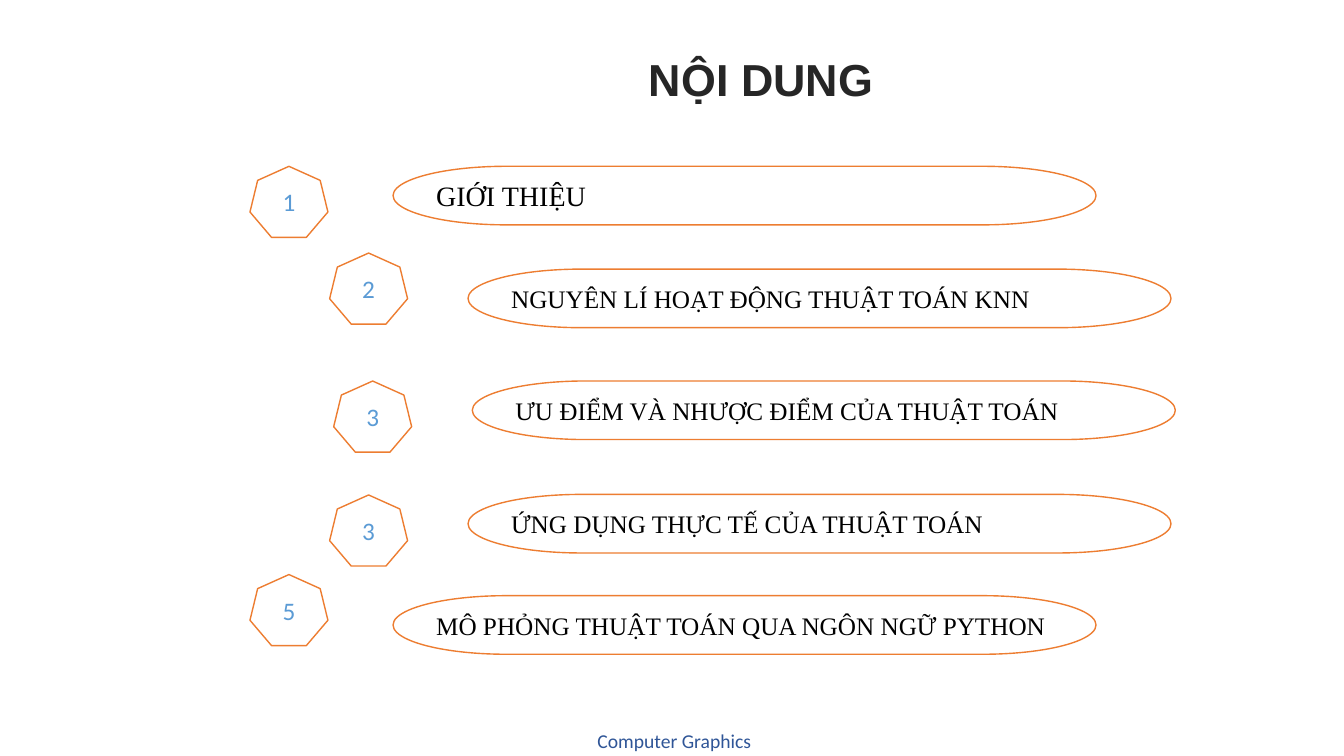
from pptx import Presentation, util as u
from pptx.dml.color import RGBColor
from pptx.enum import shapes, text

COLORS = {
    "paper": "FFFFFF", "outline": "ED7D31", "title": "262626",
    "number": "5B9BD5", "item": "000000", "footer": "2F5597",
}

# number, badge (x, y), label, label (x, y), label size; places in % of the slide
AGENDA = [
    ("1", (18.6, 22), "GIỚI THIỆU", (29.25, 22), 20),
    ("2", (24.53, 33.47), "NGUYÊN LÍ HOẠT ĐỘNG THUẬT TOÁN KNN", (34.83, 35.6), 18),
    ("3", (24.83, 50.4), "ƯU ĐIỂM VÀ NHƯỢC ĐIỂM CỦA THUẬT TOÁN", (35.15, 50.4), 18),
    ("3", (24.53, 65.47), "ỨNG DỤNG THỰC TẾ CỦA THUẬT TOÁN", (34.83, 65.4), 18),
    ("5", (18.6, 76), "MÔ PHỎNG THUẬT TOÁN QUA NGÔN NGỮ PYTHON", (29.25, 78.8), 18),
]
BADGE_SIZE = (5.8, 9.4)
PILL_SIZE = (52.3, 7.75)


def write(tf, content, *, size, color, font="Calibri", bold=False,
          align=text.PP_ALIGN.CENTER, spacing=1.0):
    tf.word_wrap = True
    tf.vertical_anchor = text.MSO_ANCHOR.MIDDLE
    p = tf.paragraphs[0]
    p.alignment, p.line_spacing = align, spacing
    r = p.add_run()
    r.text = content
    r.font.name, r.font.size, r.font.bold = font, u.Pt(size), bold
    r.font.color.rgb = RGBColor.from_string(COLORS[color])


class AgendaSlide:
    def __init__(self, prs):
        self.width, self.height = prs.slide_width, prs.slide_height
        self.s = prs.slides.add_slide(prs.slide_layouts[6])

    def box(self, place, extent):
        """Turn percentages of the slide into left, top, width and height."""
        return [round(share * whole / 100) for share, whole in
                zip((*place, *extent), (self.width, self.height) * 2)]

    def label(self, place, extent, content, **fmt):
        write(self.s.shapes.add_textbox(*self.box(place, extent)).text_frame, content, **fmt)

    def outlined(self, kind, place, extent, content, **fmt):
        sp = self.s.shapes.add_shape(kind, *self.box(place, extent))
        sp.shadow.inherit = False
        sp.fill.solid()
        sp.fill.fore_color.rgb = RGBColor.from_string(COLORS["paper"])
        sp.line.color.rgb = RGBColor.from_string(COLORS["outline"])
        sp.line.width = u.Pt(1)
        write(sp.text_frame, content, **fmt)

    def badge(self, place, number):
        self.outlined(shapes.MSO_SHAPE.HEPTAGON, place, BADGE_SIZE, number,
                      size=18, color="number")

    def pill(self, place, content, size):
        self.outlined(shapes.MSO_SHAPE.FLOWCHART_TERMINATOR, place, PILL_SIZE, content,
                      size=size, color="item", font="Times New Roman",
                      align=text.PP_ALIGN.LEFT)


def main():
    prs = Presentation()
    prs.slide_width, prs.slide_height = u.Inches(13.33), u.Inches(7.5)
    slide = AgendaSlide(prs)
    slide.label((30.53, 95.73), (39.3, 4.5), "Computer Graphics", size=14, color="footer")
    slide.label((17.85, 5.33), (77.57, 10.93), "NỘI DUNG", size=32, color="title",
                font="Arial", bold=True, spacing=0.9)
    for number, badge_at, content, pill_at, size in AGENDA:
        slide.badge(badge_at, number)
        slide.pill(pill_at, content, size)
    prs.save("out.pptx")


if __name__ == "__main__":
    main()
